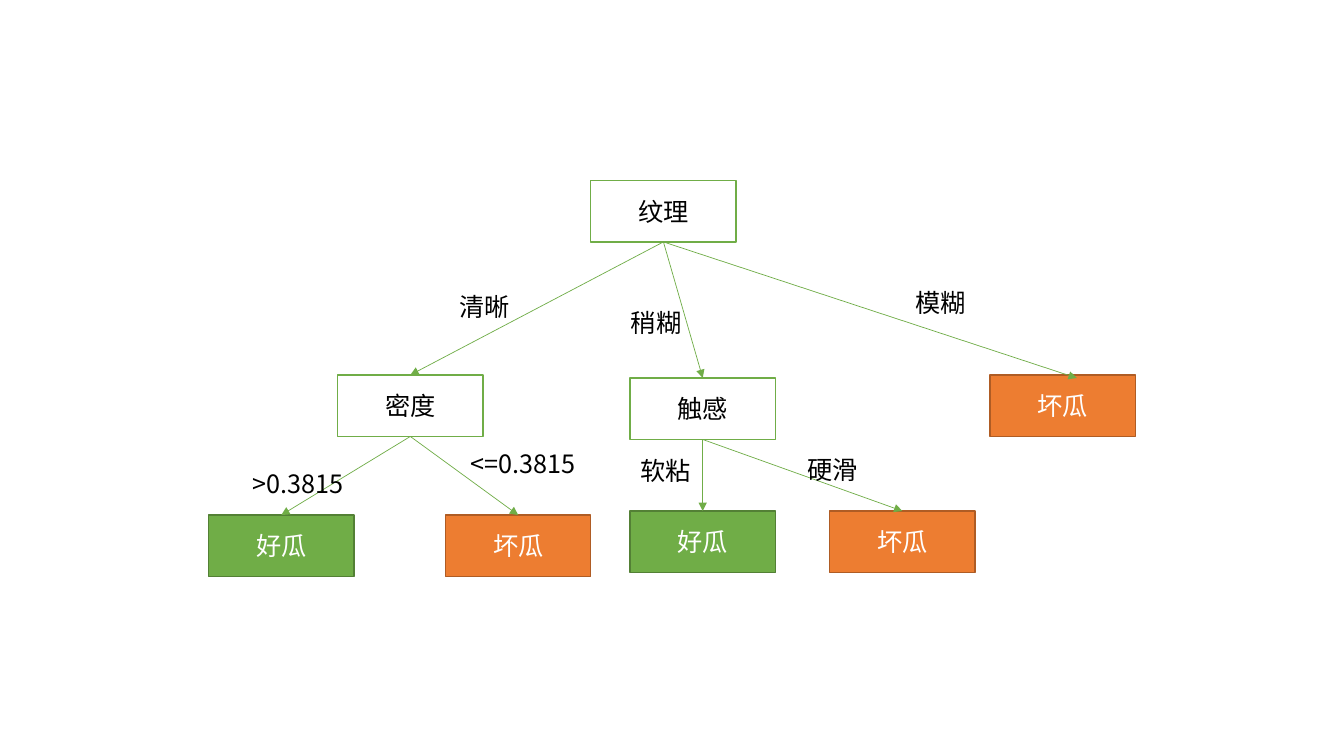
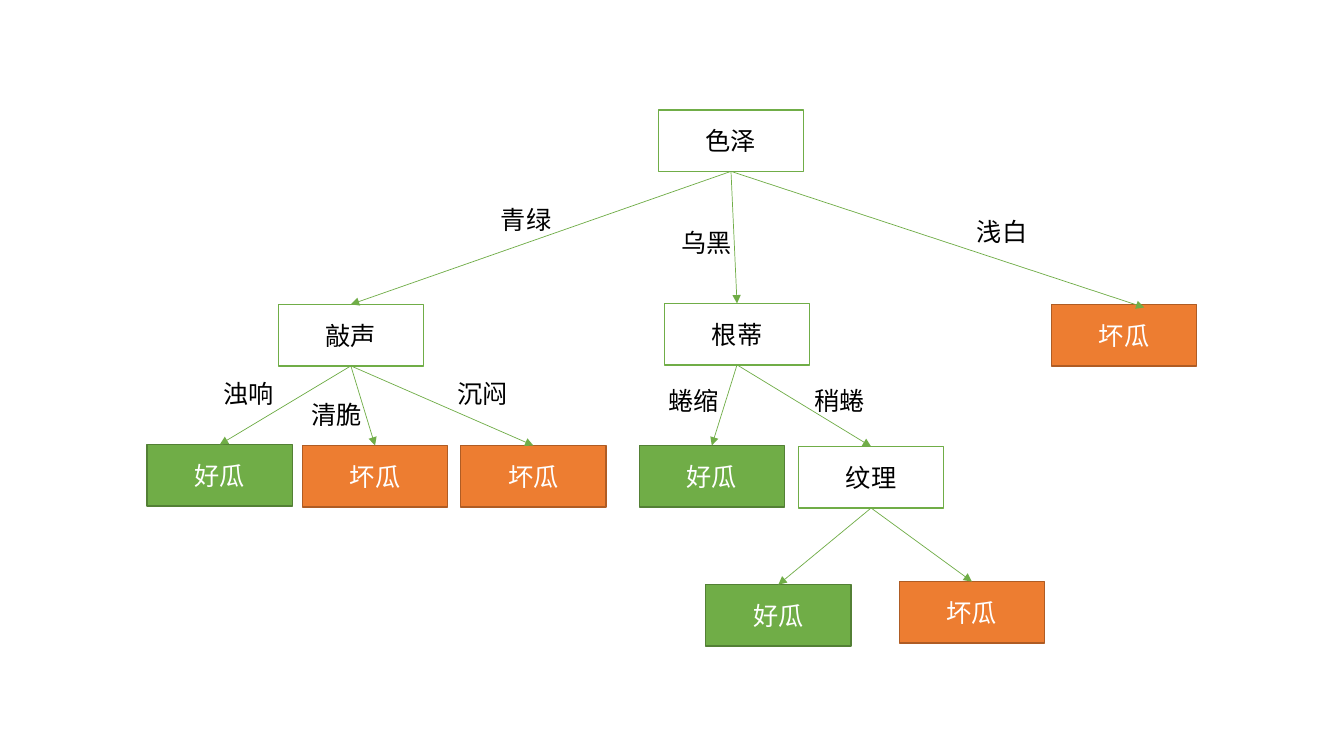
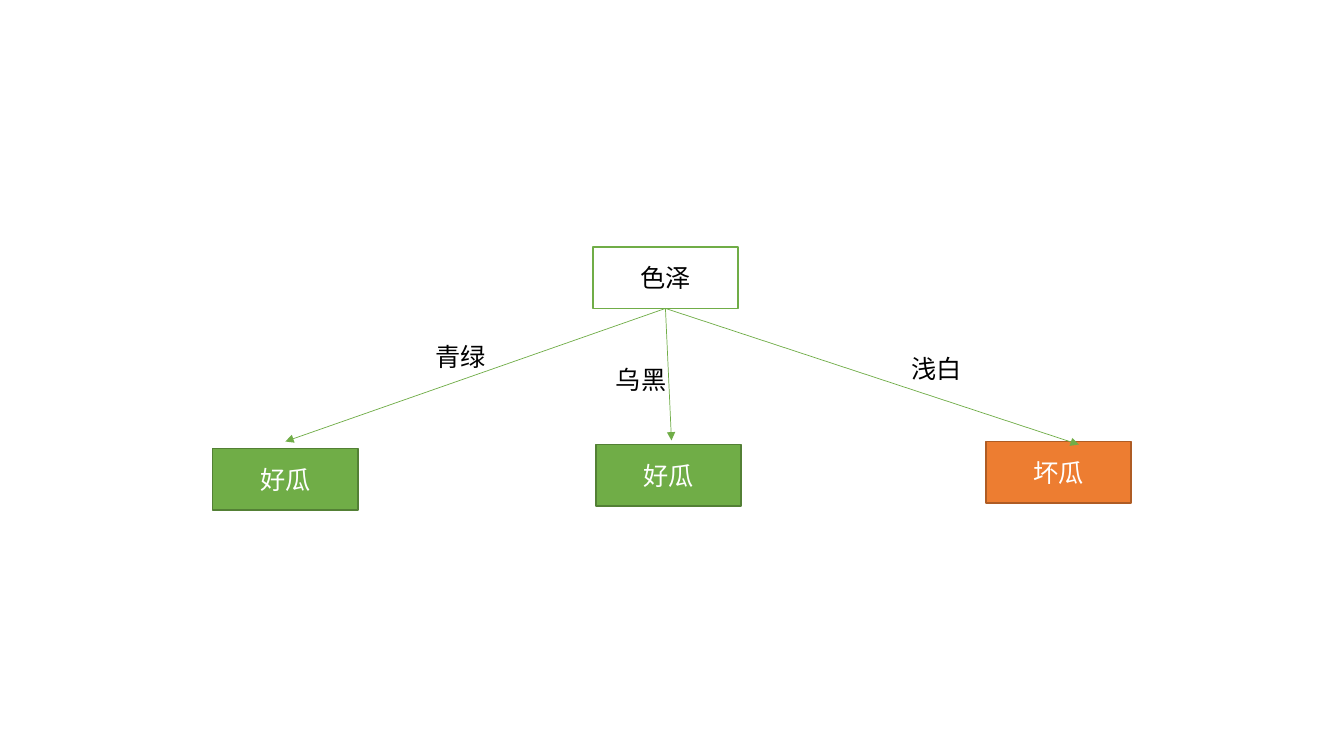
from dataclasses import dataclass

from lxml.etree import SubElement
from pptx import Presentation
from pptx.dml.color import RGBColor
from pptx.enum.shapes import MSO_CONNECTOR as CONNECTOR, MSO_SHAPE as SHAPE
from pptx.enum.text import MSO_ANCHOR as ANCHOR, MSO_AUTO_SIZE as AUTO_SIZE, PP_ALIGN as ALIGN
from pptx.oxml.ns import qn
from pptx.util import Inches, Pt

COLOURS = {
    "white": "FFFFFF", "black": "000000", "green": "70AD47",
    "dark_green": "538035", "orange": "ED7D31", "dark_orange": "AF5C24",
}
NODE_STYLES = {
    "test": {"fill": "white", "line": "green", "text": "black"},
    "good": {"fill": "green", "line": "dark_green", "text": "white"},
    "bad": {"fill": "orange", "line": "dark_orange", "text": "white"},
}
SANS, MONO = "Noto Sans CJK SC", "Courier New"
NODE_FRAME = {"word_wrap": True, "vertical_anchor": ANCHOR.MIDDLE}
LABEL_FRAME = {"word_wrap": True, "auto_size": AUTO_SIZE.SHAPE_TO_FIT_TEXT}
NODE_W, NODE_H = 1.44, 0.61
LABEL_H = 0.4
NARROW, WIDE = 0.84, 1.33


@dataclass
class Node:
    """A box of the tree; nudge shifts it from where its arrow points."""
    text: str
    kind: str = "test"
    branches: tuple = ()
    nudge: tuple = (0, 0)


@dataclass
class Branch:
    """An arrow to a child; offsets start at the parent's top left corner."""
    label: str
    label_at: tuple
    child: Node
    child_at: tuple
    label_width: float = WIDE
    font: str = SANS


def good(nudge=(0, 0)):
    """Return a good-melon leaf."""
    return Node("好瓜", "good", nudge=nudge)


def bad(nudge=(0, 0)):
    """Return a bad-melon leaf."""
    return Node("坏瓜", "bad", nudge=nudge)


def shift(point, offset):
    """Move a point by an offset."""
    return point[0] + offset[0], point[1] + offset[1]


def colour(name):
    """Look up a palette colour."""
    return RGBColor.from_string(COLOURS[name])


def write(shape, text, frame_format, text_colour, font, align):
    """Put one formatted line of text into a shape."""
    for key, value in frame_format.items():
        setattr(shape.text_frame, key, value)
    paragraph = shape.text_frame.paragraphs[0]
    paragraph.alignment = align
    run = paragraph.add_run()
    run.text = text
    for key, value in {"size": Pt(18), "name": font}.items():
        setattr(run.font, key, value)
    run.font.color.rgb = colour(text_colour)
    SubElement(run.font._element, qn("a:ea"), typeface=font)


def draw_node(slide, node, corner):
    """Draw the box of a node at its top left corner."""
    style = NODE_STYLES[node.kind]
    box = slide.shapes.add_shape(
        SHAPE.RECTANGLE, *map(Inches, (*corner, NODE_W, NODE_H)))
    box.shadow.inherit = False
    box.fill.solid()
    box.fill.fore_color.rgb = colour(style["fill"])
    box.line.color.rgb = colour(style["line"])
    box.line.width = Pt(1)
    write(box, node.text, NODE_FRAME, style["text"], SANS, ALIGN.CENTER)


def draw_arrow(slide, start, end):
    """Draw a thin green arrow."""
    arrow = slide.shapes.add_connector(
        CONNECTOR.STRAIGHT, *map(Inches, (*start, *end)))
    arrow.line.color.rgb = colour("green")
    arrow.line.width = Pt(0.5)
    SubElement(arrow.line._get_or_add_ln(), qn("a:tailEnd"), type="triangle")
    SubElement(arrow._element.spPr, qn("a:effectLst"))


def draw_label(slide, branch, corner):
    """Write the value of a branch beside its arrow."""
    label = slide.shapes.add_textbox(
        *map(Inches, (*corner, branch.label_width, LABEL_H)))
    write(label, branch.label, LABEL_FRAME, "black", branch.font, ALIGN.LEFT)


def draw_tree(slide, node, corner):
    """Draw a node at a corner, then its branches and subtrees."""
    draw_node(slide, node, corner)
    for branch in node.branches:
        target = shift(corner, branch.child_at)
        draw_tree(slide, branch.child, shift(target, branch.child.nudge))
        draw_arrow(slide, shift(corner, (NODE_W / 2, NODE_H)),
                   shift(target, (NODE_W / 2, 0)))
        if branch.label:
            draw_label(slide, branch, shift(corner, branch.label_at))


def colour_tree(green_child, black_child):
    """Return a tree that splits on melon colour."""
    return Node("色泽", branches=(
        Branch("青绿", (-1.66, 0.89), green_child, (-3.77, 1.93), NARROW, MONO),
        Branch("乌黑", (0.13, 1.12), black_child, (0.06, 1.92), NARROW, MONO),
        Branch("浅白", (3.06, 1.01), bad((-0.2, -0.03)), (4.1, 1.96), NARROW, MONO),
    ))


density = Node("密度", branches=(
    Branch(">0.3815", (-0.94, 0.88), good(), (-1.28, 1.39)),
    Branch("<=0.3815", (1.22, 0.68), bad(), (1.07, 1.39)),
))
touch = Node("触感", branches=(
    Branch("软粘", (0, 0.72), good(), (0, 1.32)),
    Branch("硬滑", (1.66, 0.71), bad(), (1.98, 1.32)),
))
texture_tree = Node("纹理", branches=(
    Branch("清晰", (-1.4, 1.05), density, (-2.51, 1.93), NARROW),
    Branch("稍糊", (0.3, 1.21), touch, (0.39, 1.96), NARROW),
    Branch("模糊", (3.12, 1.01), bad((-0.14, -0.03)), (4.1, 1.96), NARROW),
))
sound = Node("敲声", branches=(
    Branch("浊响", (-0.64, 0.68), good(), (-1.3, 1.39), font=MONO),
    Branch("清脆", (0.23, 0.89), bad(), (0.24, 1.4), font=MONO),
    Branch("沉闷", (1.68, 0.68), bad(), (1.81, 1.4), NARROW, MONO),
))
texture = Node("纹理", branches=(
    Branch("", (0, 0), good(), (-0.92, 1.37)),
    Branch("", (0, 0), bad(), (1, 1.34)),
))
root = Node("根蒂", branches=(
    Branch("蜷缩", (-0.06, 0.76), good(), (-0.25, 1.41)),
    Branch("稍蜷", (1.39, 0.76), texture, (1.33, 1.42), font=MONO),
))
TREES = (
    (texture_tree, (5.86, 1.79)),
    (colour_tree(sound, root), (6.53, 1.09)),
    (colour_tree(good((0, 0.07)), good((-0.03, 0.04))), (5.88, 2.45)),
)

deck = Presentation()
deck.slide_width, deck.slide_height = Inches(13.33), Inches(7.5)
for tree, top_corner in TREES:
    draw_tree(deck.slides.add_slide(deck.slide_layouts[6]), tree, top_corner)
deck.save("out.pptx")
